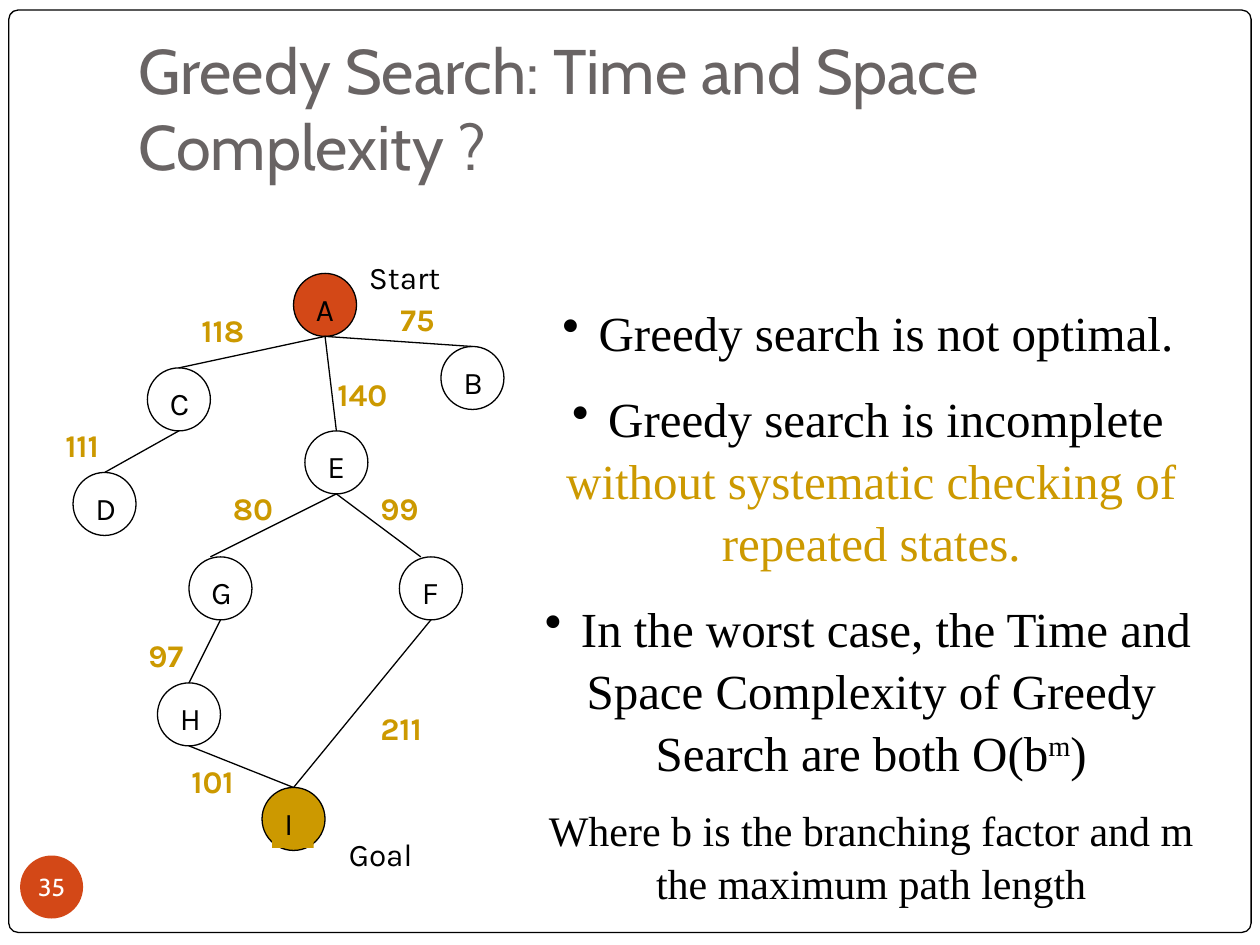
import pptx
import pptx.util
import pptx.dml.color
import pptx.enum.shapes
import pptx.enum.text
import pptx.oxml.ns
from lxml import etree

Inches, Pt = pptx.util.Inches, pptx.util.Pt
SHAPE = pptx.enum.shapes.MSO_SHAPE
ANCHOR = pptx.enum.text.MSO_ANCHOR
CENTER = pptx.enum.text.PP_ALIGN.CENTER
COLORS = {"black": "000000", "white": "FFFFFF", "gray": "696464",
          "red": "D34817", "gold": "CC9900"}
SIZE = 0.5

# name: left, top, fill
NODES = {
    "A": (2.33, 2.17, "red"), "B": (3.5, 2.75, None), "D": (0.58, 3.75, None),
    "C": (1.17, 2.92, None), "E": (2.42, 3.42, None), "F": (3.17, 4.42, None),
    "I": (2.08, 6.25, "gold"), "G": (1.5, 4.42, None), "H": (1.25, 5.42, None),
}
# parent, child, shift of the lower end, cost, cost left, cost top, cost width
EDGES = [
    ("E", "F", -0.08, "99", 2.92, 3.83, 0.67),
    ("F", "I", 0, "211", 2.92, 5.58, 0.83),
    ("E", "G", -0.08, "80", 1.75, 3.83, 0.67),
    ("G", "H", 0, "97", 1.08, 5, 0.67),
    ("H", "I", 0, "101", 1.42, 6, 0.92),
    ("A", "B", 0, "75", 3.08, 2.33, 0.67),
    ("A", "E", 0, "140", 2.58, 2.93, 0.83),
    ("A", "C", 0, "118", 1.5, 2.42, 0.83),
    ("C", "D", 0, "111", 0.42, 3.33, 0.83),
]
# runs (text, color, raised), size, space before, bullet
POINTS = [
    ([(" Greedy search is not optimal.", "black", False)], 28, 0, True),
    ([(" Greedy search is incomplete ", "black", False),
      ("without systematic checking of repeated states.", "gold", False)],
     28, 14, True),
    ([(" In the worst case, the Time and Space Complexity of Greedy Search "
       "are both O(b", "black", False),
      ("m", "black", True), (")", "black", False)], 28, 14, True),
    ([("Where b is the branching factor and m the maximum path length",
       "black", False)], 24, 12, False),
]


def rgb(color):
    return pptx.dml.color.RGBColor.from_string(COLORS[color])


def paint(shape, fill=None, line=None):
    if fill:
        shape.fill.solid()
        shape.fill.fore_color.rgb = rgb(fill)
    else:
        shape.fill.background()
    if line:
        shape.line.color.rgb = rgb(line)
        shape.line.width = Pt(0.75)
    else:
        shape.line.fill.background()


def add_form(shapes, kind, box, fill=None, line=None):
    shape = shapes.add_shape(kind, *map(Inches, box))
    shape.shadow.inherit = False
    paint(shape, fill, line)
    return shape


def set_frame(frame, **values):
    base = {"word_wrap": True, "vertical_anchor": ANCHOR.TOP,
            "margin_left": Inches(0.1), "margin_right": Inches(0.1),
            "margin_top": Inches(0.05), "margin_bottom": Inches(0.05)}
    for name, value in (base | values).items():
        setattr(frame, name, value)


def add_run(para, text, color="black", font="Karla", size=18, bold=False):
    run = para.add_run()
    run.text = text
    style = {"name": font, "size": Pt(size), "bold": bold}
    for name, value in style.items():
        setattr(run.font, name, value)
    run.font.color.rgb = rgb(color)
    return run


def add_label(shapes, text, box, fill=None, **style):
    label = shapes.add_textbox(*map(Inches, box))
    paint(label, fill)
    set_frame(label.text_frame)
    add_run(label.text_frame.paragraphs[0], text, **style)
    return label


def add_node(shapes, name):
    left, top, fill = NODES[name]
    group = shapes.add_group_shape().shapes
    add_form(group, SHAPE.OVAL, (left, top, SIZE, SIZE), fill, "black")
    back = "gold" if fill == "gold" else None
    add_label(group, name, (left + 0.08, top + 0.08, 0.33, 0.4), back)


def add_edge(shapes, start, end, shift):
    """Join the foot of one node to the head of the next."""
    (x1, y1, _), (x2, y2, _) = NODES[start], NODES[end]
    ends = (x1 + SIZE / 2, y1 + SIZE, x2 + SIZE / 2 + shift, y2)
    line = shapes.add_connector(
        pptx.enum.shapes.MSO_CONNECTOR.STRAIGHT, *map(Inches, ends))
    line.line.color.rgb = rgb("black")
    line.line.width = Pt(0.75)
    etree.SubElement(line._element.spPr, pptx.oxml.ns.qn("a:effectLst"))


def add_bullet(para):
    props = para._p.get_or_add_pPr()
    props.set("marL", "0")
    props.set("indent", str(-Inches(0.19)))
    tint = etree.SubElement(props, pptx.oxml.ns.qn("a:buClr"))
    etree.SubElement(tint, pptx.oxml.ns.qn("a:srgbClr"), val=COLORS["black"])
    etree.SubElement(props, pptx.oxml.ns.qn("a:buChar"), char="•")


def add_points(shapes):
    frame = shapes.add_textbox(
        *map(Inches, (4.08, 2.33, 5.67, 4.41))).text_frame
    set_frame(frame)
    for i, (runs, size, gap, bullet) in enumerate(POINTS):
        para = frame.add_paragraph() if i else frame.paragraphs[0]
        style = {"alignment": CENTER, "space_before": Pt(gap),
                 "line_spacing": 1.05}
        for name, value in style.items():
            setattr(para, name, value)
        if bullet:
            add_bullet(para)
        for text, color, raised in runs:
            run = add_run(para, text, color, "Times New Roman", size)
            if raised:
                run._r.get_or_add_rPr().set("baseline", "30000")


def add_badge(shapes):
    badge = add_form(shapes, SHAPE.OVAL, (0.16, 6.79, SIZE, SIZE), "red")
    sides = ("left", "right", "top", "bottom")
    set_frame(badge.text_frame, vertical_anchor=ANCHOR.MIDDLE,
              **{f"margin_{side}": 0 for side in sides})
    para = badge.text_frame.paragraphs[0]
    para.alignment = CENTER
    add_run(para, "35", "white", "Cabin", 14)


def main():
    deck = pptx.Presentation()
    deck.slide_width, deck.slide_height = Inches(10), Inches(7.5)
    shapes = deck.slides.add_slide(deck.slide_layouts[6]).shapes

    border = add_form(shapes, SHAPE.ROUNDED_RECTANGLE,
                      (0.07, 0.08, 9.86, 7.32), "white", "black")
    border.adjustments[0] = 0.01
    title = add_label(shapes, "Greedy Search: Time and Space Complexity ?",
                      (1, 0.3, 8.5, 1.25), color="gray", font="Cabin", size=36)
    set_frame(title.text_frame, vertical_anchor=ANCHOR.BOTTOM,
              margin_bottom=Inches(0.1))
    add_badge(shapes)

    for name in NODES:
        add_node(shapes, name)
    for start, end, shift, cost, left, top, width in EDGES:
        add_edge(shapes, start, end, shift)
        add_label(shapes, cost, (left, top, width, 0.4),
                  color="gold", bold=True)
    add_label(shapes, "Start", (2.83, 2, 1.33, 0.4))
    add_label(shapes, "Goal", (2.67, 6.58, 1.33, 0.4))
    add_points(shapes)
    deck.save("out.pptx")


if __name__ == "__main__":
    main()
